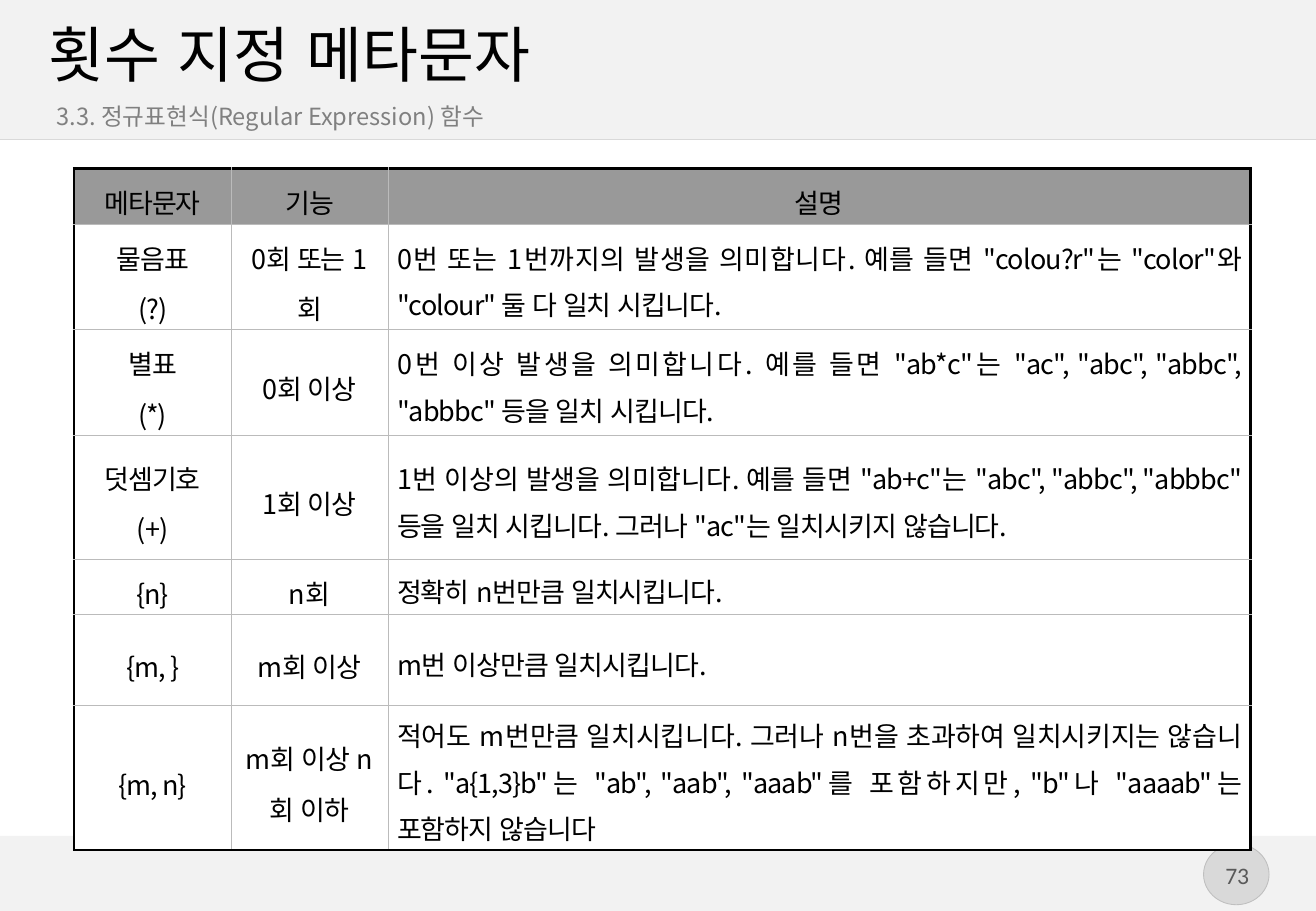
from lxml import etree
from pptx import Presentation
from pptx.dml.color import RGBColor
from pptx.enum.lang import MSO_LANGUAGE_ID
from pptx.enum.shapes import MSO_CONNECTOR, MSO_SHAPE
from pptx.enum.text import MSO_ANCHOR, PP_ALIGN
from pptx.oxml.ns import qn
from pptx.util import Cm, Pt

TITLE = "횟수 지정 메타문자"
SUBTITLE = "3.3. 정규표현식(Regular Expression) 함수"
PAGE_NUMBER = "73"
HEADER = ("메타문자", "기능", "설명")
METACHARACTERS = [
    ("물음표\n(?)", "0회 또는 1회",
     '0번 또는 1번까지의 발생을 의미합니다. 예를 들면 "colou?r"는 "color"와 "colour" 둘 다 일치 시킵니다.'),
    ("별표\n(*)", "0회 이상",
     '0번 이상 발생을 의미합니다. 예를 들면 "ab*c"는 "ac", "abc", "abbc", "abbbc" 등을 일치 시킵니다.'),
    ("덧셈기호\n(+)", "1회 이상",
     '1번 이상의 발생을 의미합니다. 예를 들면 "ab+c"는 "abc", "abbc", "abbbc" 등을 일치 시킵니다. '
     '그러나 "ac"는 일치시키지 않습니다.'),
    ("{n}", "n회", "정확히 n번만큼 일치시킵니다."),
    ("{m, }", "m회 이상", "m번 이상만큼 일치시킵니다."),
    ("{m, n}", "m회 이상 n회 이하",
     '적어도 m번만큼 일치시킵니다. 그러나 n번을 초과하여 일치시키지는 않습니다. '
     '"a{1,3}b"는 "ab", "aab", "aaab"를 포함하지만, "b"나 "aaaab"는 포함하지 않습니다'),
]
ROWS = [HEADER] + METACHARACTERS
COLUMN_WIDTHS = (3.28, 3.28, 18.03)
ROW_HEIGHTS = (1.17, 2.2, 2.21, 2.59, 1.16, 1.9, 3.02)

BLACK = RGBColor(0x00, 0x00, 0x00)
WHITE = RGBColor(0xFF, 0xFF, 0xFF)
BAND_GRAY = RGBColor(0xF2, 0xF2, 0xF2)
RULE_GRAY = RGBColor(0xD9, 0xD9, 0xD9)
CIRCLE_LINE = RGBColor(0xBF, 0xBF, 0xBF)
NUMBER_GRAY = RGBColor(0x59, 0x59, 0x59)
SUBTITLE_GRAY = RGBColor(0x80, 0x80, 0x80)
HEADER_GRAY = RGBColor(0x99, 0x99, 0x99)
GRID_GRAY = RGBColor(0xBB, 0xBB, 0xBB)

KOREAN_FONT = "Noto Sans CJK KR"
KOREAN = MSO_LANGUAGE_ID.KOREAN
LEFT, CENTER, JUSTIFY = PP_ALIGN.LEFT, PP_ALIGN.CENTER, PP_ALIGN.JUSTIFY
MIDDLE = MSO_ANCHOR.MIDDLE
RECTANGLE, OVAL = MSO_SHAPE.RECTANGLE, MSO_SHAPE.OVAL
STRAIGHT = MSO_CONNECTOR.STRAIGHT
SLIDE_WIDTH, SLIDE_HEIGHT = Cm(27.51), Cm(19.05)
HEADER_BOTTOM, FOOTER_TOP = Cm(2.92), Cm(17.48)


def write_text(text_frame, text, size, color=BLACK, font=KOREAN_FONT,
               align=LEFT, line_spacing=None, character_spacing=None):
    for index, line in enumerate(text.split("\n")):
        paragraph = text_frame.paragraphs[0] if index == 0 else text_frame.add_paragraph()
        paragraph.alignment = align
        if line_spacing:
            paragraph.line_spacing = line_spacing
        run = paragraph.add_run()
        run.text = line
        run.font.size = Pt(size)
        run.font.name = font
        run.font.color.rgb = color
        run.font.language_id = KOREAN
        properties = run.font._element
        etree.SubElement(properties, qn("a:ea"), typeface=font)
        if character_spacing:
            properties.set("spc", str(round(character_spacing * 100)))


def add_text_box(slide, text, left, top, width, height, margins, wrap=True, **text_format):
    box = slide.shapes.add_textbox(left, top, width, height)
    frame = box.text_frame
    frame.word_wrap = wrap
    frame.vertical_anchor = MIDDLE
    frame.margin_left, frame.margin_top, frame.margin_right, frame.margin_bottom = map(Cm, margins)
    write_text(frame, text, **text_format)


def add_filled_shape(slide, kind, left, top, width, height, fill, line=None):
    shape = slide.shapes.add_shape(kind, left, top, width, height)
    shape.shadow.inherit = False
    shape.fill.solid()
    shape.fill.fore_color.rgb = fill
    if line is None:
        shape.line.fill.background()
    else:
        shape.line.color.rgb = line
        shape.line.width = Pt(0.5)


def set_border(cell, side, outer):
    color, width = (BLACK, 1.7) if outer else (GRID_GRAY, 0.28)
    border = etree.SubElement(cell._tc.get_or_add_tcPr(), qn("a:ln" + side), w=str(Pt(width)))
    fill = etree.SubElement(border, qn("a:solidFill"))
    etree.SubElement(fill, qn("a:srgbClr"), val=str(color))


def add_metacharacter_table(slide):
    last_row, last_column = len(ROWS) - 1, len(HEADER) - 1
    table = slide.shapes.add_table(
        len(ROWS), len(HEADER), Cm(1.55), Cm(3.52),
        Cm(sum(COLUMN_WIDTHS)), Cm(sum(ROW_HEIGHTS))).table
    table.first_row = table.horz_banding = False
    for column, width in zip(table.columns, COLUMN_WIDTHS):
        column.width = Cm(width)
    for row, height in zip(table.rows, ROW_HEIGHTS):
        row.height = Cm(height)
    for row_index, row in enumerate(ROWS):
        for column_index, text in enumerate(row):
            cell = table.cell(row_index, column_index)
            set_border(cell, "L", column_index == 0)
            set_border(cell, "R", column_index == last_column)
            set_border(cell, "T", row_index == 0)
            set_border(cell, "B", row_index == last_row)
            cell.fill.solid()
            cell.fill.fore_color.rgb = HEADER_GRAY if row_index == 0 else WHITE
            cell.vertical_anchor = MIDDLE
            cell.margin_left = cell.margin_right = Cm(0.19)
            cell.margin_top = cell.margin_bottom = Cm(0.05)
            description = row_index > 0 and column_index == last_column
            write_text(cell.text_frame, text, size=16, character_spacing=-0.5,
                       align=JUSTIFY if description else CENTER,
                       line_spacing=1.2 if description else 1.3)


def main():
    presentation = Presentation()
    presentation.slide_width, presentation.slide_height = SLIDE_WIDTH, SLIDE_HEIGHT
    slide = presentation.slides.add_slide(presentation.slide_layouts[6])

    add_filled_shape(slide, RECTANGLE, 0, FOOTER_TOP, SLIDE_WIDTH,
                     SLIDE_HEIGHT - FOOTER_TOP, BAND_GRAY)
    add_filled_shape(slide, OVAL, Cm(25.16), Cm(17.65), Cm(1.37), Cm(1.27),
                     RULE_GRAY, CIRCLE_LINE)
    add_text_box(slide, PAGE_NUMBER, Cm(25.32), Cm(17.87), Cm(1.09), Cm(0.86),
                 (0.25, 0.13, 0.25, 0.13), wrap=False,
                 size=14, color=NUMBER_GRAY, font="Calibri", align=CENTER)
    add_filled_shape(slide, RECTANGLE, 0, 0, SLIDE_WIDTH, HEADER_BOTTOM, BAND_GRAY)
    rule = slide.shapes.add_connector(STRAIGHT, 0, HEADER_BOTTOM, SLIDE_WIDTH, HEADER_BOTTOM)
    rule.line.color.rgb = RULE_GRAY
    rule.line.width = Pt(0.75)
    etree.SubElement(rule._element.spPr, qn("a:effectLst"))

    add_text_box(slide, TITLE, Cm(1.02), Cm(0.35), Cm(25.53), Cm(1.52),
                 (0, 0, 0, 0), size=36)
    add_text_box(slide, SUBTITLE, Cm(0.97), Cm(2.13), Cm(25.58), Cm(0.61),
                 (0.21, 0.13, 0.25, 0.13), size=14, color=SUBTITLE_GRAY)
    add_metacharacter_table(slide)
    presentation.save("out.pptx")


if __name__ == "__main__":
    main()
